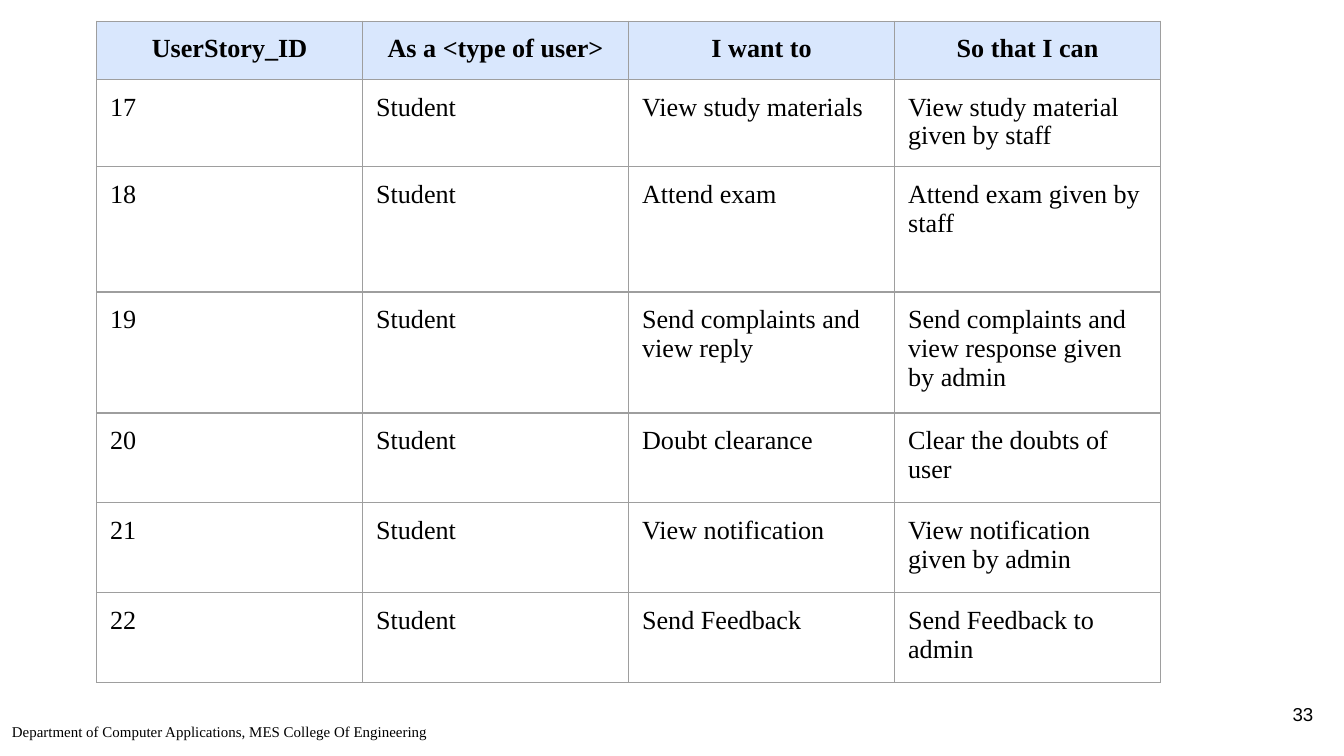
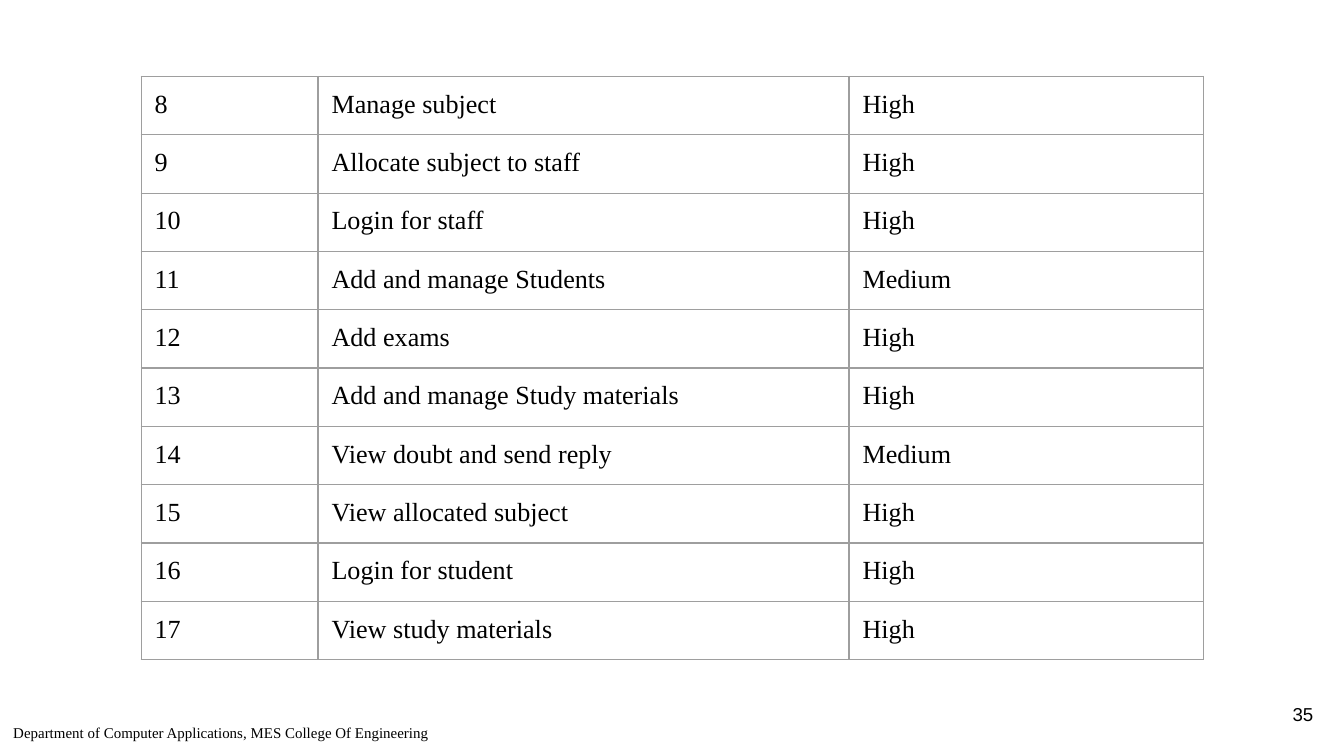
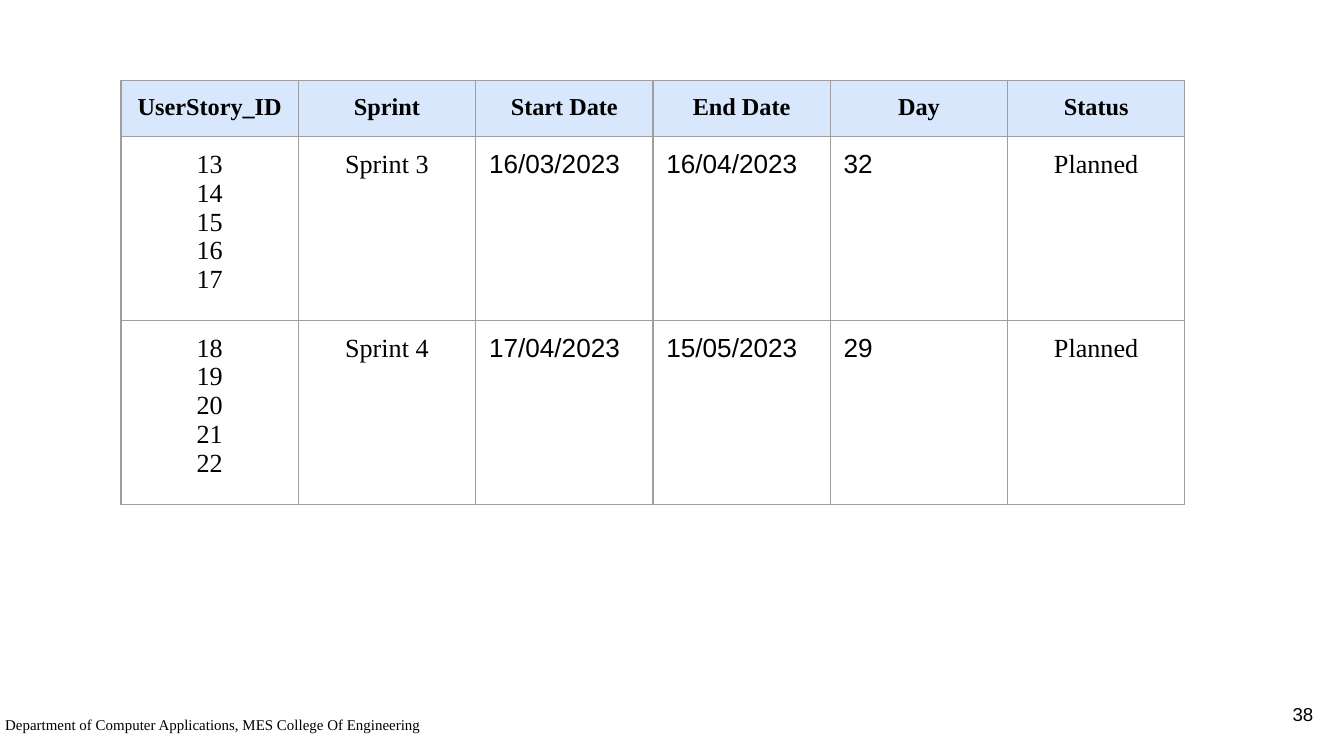
from dataclasses import dataclass

from lxml.etree import SubElement
from pptx import Presentation
from pptx.dml.color import RGBColor
from pptx.enum.text import MSO_ANCHOR, MSO_AUTO_SIZE, PP_ALIGN
from pptx.oxml.ns import qn
from pptx.slide import Slide
from pptx.table import Table, _Cell
from pptx.text.text import TextFrame
from pptx.util import Pt

COLORS = {"text": "000000", "header": "D9E7FD", "border": "9E9E9E"}
SERIF, SANS = "Times New Roman", "Arial"
LEFT, CENTER, RIGHT = PP_ALIGN.LEFT, PP_ALIGN.CENTER, PP_ALIGN.RIGHT
INSET = 7.2
BORDER_WIDTH = 0.75
BODY_SIZE = 14
ROW_HEIGHT = 31.2
FOOTER = "Department of Computer Applications, MES College Of Engineering"


@dataclass(frozen=True)
class Frame:
    left: float
    top: float
    width: float
    height: float


@dataclass(frozen=True)
class TextStyle:
    size: float
    font: str = SERIF
    align: PP_ALIGN = LEFT
    bold: bool = False


@dataclass(frozen=True)
class Column:
    width: float
    title: str = ""
    style: TextStyle = TextStyle(BODY_SIZE)


@dataclass(frozen=True)
class TablePage:
    number: int
    footer_frame: Frame
    left: float
    top: float
    columns: list[Column]
    rows: list[tuple[str, ...]]
    row_heights: list[float]
    title_size: float = 0


FOOTER_STYLE = TextStyle(8)
NUMBER_STYLE = TextStyle(10, SANS, RIGHT)
NUMBER_FRAME = Frame(667.4, 367.2, 43.2, 31)
CENTERED = TextStyle(BODY_SIZE, align=CENTER)
DATE_STYLE = TextStyle(BODY_SIZE, SANS)

STORY_TITLES = ["UserStory_ID", "As a <type of user>", "I want to", "So that I can"]
STORIES = [
    ("17", "Student", "View study materials", "View study material given by staff"),
    ("18", "Student", "Attend exam", "Attend exam given by staff"),
    ("19", "Student", "Send complaints and view reply",
     "Send complaints and view response given by admin"),
    ("20", "Student", "Doubt clearance", "Clear the doubts of user"),
    ("21", "Student", "View notification", "View notification given by admin"),
    ("22", "Student", "Send Feedback", "Send Feedback to admin"),
]
PRIORITIES = [
    ("8", "Manage subject", "High"),
    ("9", "Allocate subject to staff", "High"),
    ("10", "Login for staff", "High"),
    ("11", "Add and manage Students", "Medium"),
    ("12", "Add exams", "High"),
    ("13", "Add and manage Study materials", "High"),
    ("14", "View doubt and send reply", "Medium"),
    ("15", "View allocated subject", "High"),
    ("16", "Login for student", "High"),
    ("17", "View study materials", "High"),
]
SPRINT_COLUMNS = [
    ("UserStory_ID", CENTERED),
    ("Sprint", CENTERED),
    ("Start Date", DATE_STYLE),
    ("End Date", DATE_STYLE),
    ("Day", DATE_STYLE),
    ("Status", CENTERED),
]
SPRINTS = [
    ("13\n14\n15\n16\n17", "Sprint 3", "16/03/2023", "16/04/2023", "32", "Planned"),
    ("18\n19\n20\n21\n22", "Sprint 4", "17/04/2023", "15/05/2023", "29", "Planned"),
]

PAGES = [
    TablePage(
        number=33,
        footer_frame=Frame(-0.7, 382.3, 383.8, 33.8),
        left=51.8,
        top=11.3,
        columns=[Column(142.5, title) for title in STORY_TITLES],
        rows=STORIES,
        row_heights=[ROW_HEIGHT, 46.8, 67.2, 64.8, 48.1, 48.1, 48.1],
        title_size=14,
    ),
    TablePage(
        number=35,
        footer_frame=Frame(0, 383, 438.5, 33.8),
        left=75.6,
        top=41,
        columns=[Column(94.8), Column(284.5), Column(190)],
        rows=PRIORITIES,
        row_heights=[ROW_HEIGHT] * len(PRIORITIES),
    ),
    TablePage(
        number=38,
        footer_frame=Frame(-4.3, 378.7, 360, 33.8),
        left=64.8,
        top=43.1,
        columns=[Column(95, title, style) for title, style in SPRINT_COLUMNS],
        rows=SPRINTS,
        row_heights=[30, 98.4, 98.4],
        title_size=13,
    ),
]


def write_text(text_frame: TextFrame, text: str, style: TextStyle) -> None:
    text_frame.text = text
    for para in text_frame.paragraphs:
        para.alignment = style.align
        for span in para.runs:
            span.font.size = Pt(style.size)
            span.font.name = style.font
            span.font.bold = style.bold
            span.font.color.rgb = RGBColor.from_string(COLORS["text"])


def set_insets(target: TextFrame | _Cell) -> None:
    target.margin_left = target.margin_right = Pt(INSET)
    target.margin_top = target.margin_bottom = Pt(INSET)


def add_text(page: Slide, frame: Frame, text: str, style: TextStyle) -> TextFrame:
    box = page.shapes.add_textbox(
        Pt(frame.left), Pt(frame.top), Pt(frame.width), Pt(frame.height)
    )
    text_frame = box.text_frame
    text_frame.word_wrap = True
    set_insets(text_frame)
    write_text(text_frame, text, style)
    return text_frame


def add_borders(cell: _Cell) -> None:
    properties = cell._tc.get_or_add_tcPr()
    for side in ("lnL", "lnR", "lnT", "lnB"):
        line = SubElement(properties, qn(f"a:{side}"), w=str(Pt(BORDER_WIDTH)))
        fill = SubElement(line, qn("a:solidFill"))
        SubElement(fill, qn("a:srgbClr"), val=COLORS["border"])


def fill_row(table: Table, index: int, texts: list[str], styles: list[TextStyle],
             color: str | None = None) -> None:
    for column, (text, style) in enumerate(zip(texts, styles)):
        cell = table.cell(index, column)
        set_insets(cell)
        write_text(cell.text_frame, text, style)
        add_borders(cell)
        if color:
            cell.fill.solid()
            cell.fill.fore_color.rgb = RGBColor.from_string(color)
        else:
            cell.fill.background()


def add_page_table(page: Slide, content: TablePage) -> None:
    columns = content.columns
    table = page.shapes.add_table(
        len(content.row_heights), len(columns), Pt(content.left), Pt(content.top),
        Pt(sum(column.width for column in columns)), Pt(sum(content.row_heights)),
    ).table
    table.horz_banding = False
    table.first_row = False
    for table_column, column in zip(table.columns, columns):
        table_column.width = Pt(column.width)
    for table_row, height in zip(table.rows, content.row_heights):
        table_row.height = Pt(height)

    first_body_row = 0
    if content.title_size:
        title_style = TextStyle(content.title_size, align=CENTER, bold=True)
        titles = [column.title for column in columns]
        fill_row(table, 0, titles, [title_style] * len(columns), COLORS["header"])
        table.first_row = True
        first_body_row = 1
    body_styles = [column.style for column in columns]
    for index, row in enumerate(content.rows, first_body_row):
        fill_row(table, index, list(row), body_styles)


def add_footer(page: Slide, content: TablePage) -> None:
    footer = add_text(page, content.footer_frame, FOOTER, FOOTER_STYLE)
    footer.auto_size = MSO_AUTO_SIZE.SHAPE_TO_FIT_TEXT
    number = add_text(page, NUMBER_FRAME, str(content.number), NUMBER_STYLE)
    number.vertical_anchor = MSO_ANCHOR.MIDDLE


def main() -> None:
    deck = Presentation()
    deck.slide_width, deck.slide_height = Pt(720), Pt(405)
    blank_layout = deck.slide_layouts[6]
    for content in PAGES:
        page = deck.slides.add_slide(blank_layout)
        add_page_table(page, content)
        add_footer(page, content)
    deck.save("out.pptx")


if __name__ == "__main__":
    main()
